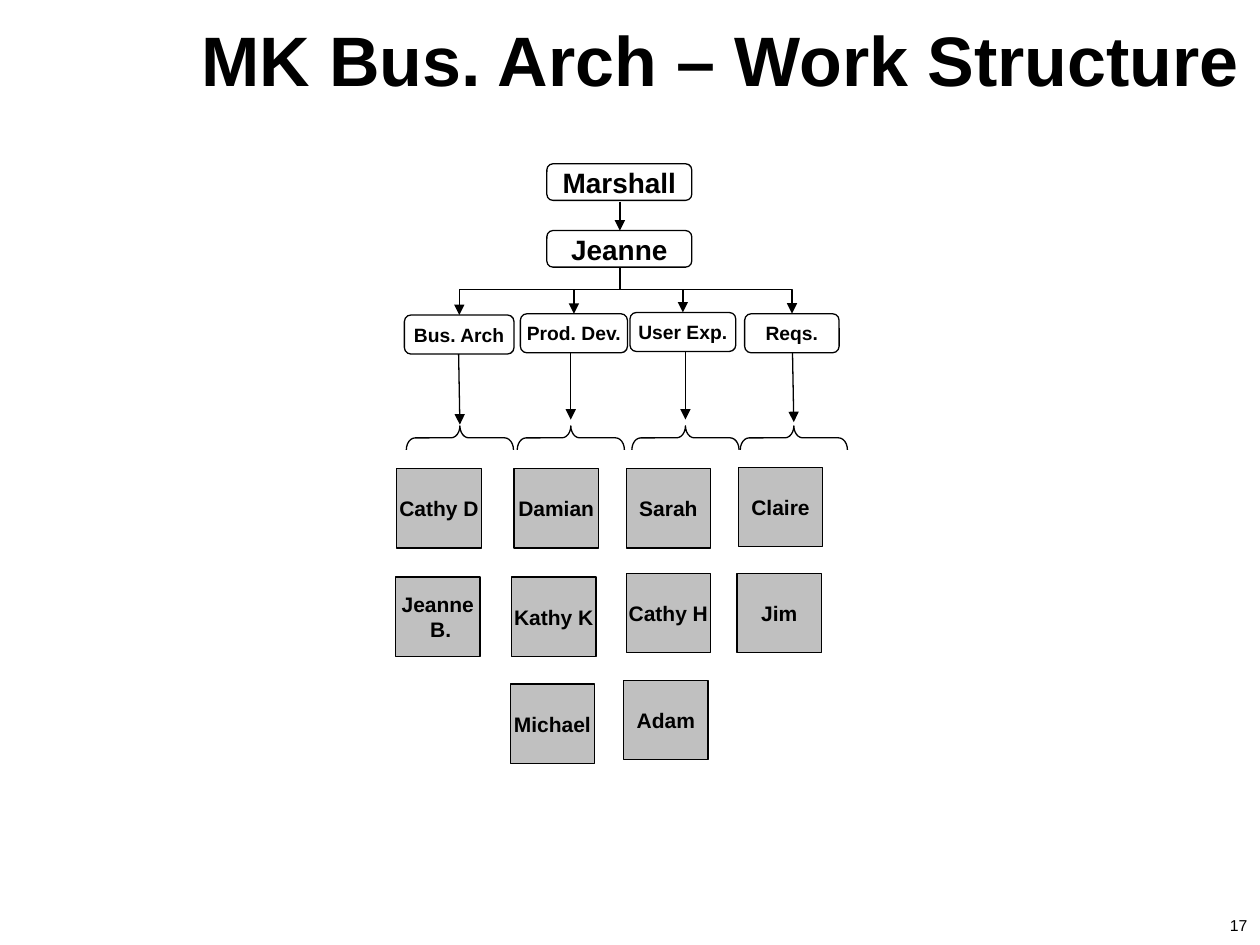
"""Build the MK business architecture work structure slide."""
from dataclasses import dataclass

from lxml import etree
from pptx import Presentation
from pptx.dml.color import RGBColor
from pptx.enum.shapes import MSO_CONNECTOR, MSO_SHAPE
from pptx.enum.text import MSO_ANCHOR, PP_ALIGN
from pptx.oxml import parse_xml
from pptx.oxml.ns import nsdecls, qn
from pptx.util import Inches, Pt

STRAIGHT, ELBOW = MSO_CONNECTOR.STRAIGHT, MSO_CONNECTOR.ELBOW
ROUNDED = MSO_SHAPE.FLOWCHART_ALTERNATE_PROCESS
SQUARE, BRACE = MSO_SHAPE.RECTANGLE, MSO_SHAPE.LEFT_BRACE
MIDDLE, BOTTOM, CENTER = MSO_ANCHOR.MIDDLE, MSO_ANCHOR.BOTTOM, PP_ALIGN.CENTER


@dataclass(frozen=True)
class Theme:
    font: str = "Arial"
    ink: RGBColor = RGBColor(0, 0, 0)
    paper: RGBColor = RGBColor(255, 255, 255)
    member: RGBColor = RGBColor(0xC0, 0xC0, 0xC0)
    line: Pt = Pt(0.75)
    title_size: Pt = Pt(40)
    leader_size: Pt = Pt(16)
    branch_size: Pt = Pt(11)
    member_size: Pt = Pt(12)
    number_size: Pt = Pt(9)


theme = Theme()
presentation = Presentation()
presentation.slide_width, presentation.slide_height = Inches(10), Inches(7.5)
slide = presentation.slides.add_slide(presentation.slide_layouts[6])


def add_box(kind, left, top, width, height, text, size, fill=None, bold=True):
    area = [Inches(value) for value in (left, top, width, height)]
    if kind is None:
        shape = slide.shapes.add_textbox(*area)
    else:
        shape = slide.shapes.add_shape(kind, *area)
        shape.shadow.inherit = False
        shape.fill.solid()
        shape.fill.fore_color.rgb = fill
        shape.line.color.rgb = theme.ink
        shape.line.width = theme.line
        shape.text_frame.vertical_anchor = MIDDLE
    shape.text_frame.word_wrap = False
    shape.text_frame.text = text
    for paragraph in shape.text_frame.paragraphs:
        paragraph.alignment = CENTER
        paragraph.font.name = theme.font
        paragraph.font.size = size
        paragraph.font.bold = bold
        paragraph.font.color.rgb = theme.ink
    return shape


def add_arrow(start_x, start_y, end_x, end_y, bend_y=None):
    points = start_x, start_y, end_x, end_y
    if bend_y is not None:
        middle_x, middle_y = (start_x + end_x) / 2, (start_y + end_y) / 2
        side = 1 if end_x > start_x else -1
        half_width = side * (end_y - start_y) / 2
        half_height = abs(end_x - start_x) / 2
        points = (middle_x + half_width, middle_y - half_height,
                  middle_x - half_width, middle_y + half_height)
    connector = slide.shapes.add_connector(
        STRAIGHT if bend_y is None else ELBOW, *[Inches(value) for value in points])
    connector.line.color.rgb = theme.ink
    connector.line.width = theme.line
    properties = connector._element.spPr
    if bend_y is not None:
        properties.find(qn("a:xfrm")).set("rot", "16200000" if side > 0 else "5400000")
        bend = round(100000 * (bend_y - start_y) / (end_y - start_y))
        etree.SubElement(properties.find(".//" + qn("a:avLst")), qn("a:gd"),
                         name="adj1", fmla=f"val {bend}")
    etree.SubElement(properties.find(qn("a:ln")), qn("a:tailEnd"), type="triangle")
    etree.SubElement(properties, qn("a:effectLst"))


title = add_box(None, 1.43, 0.08, 8.57, 0.77, "MK Bus. Arch – Work Structure", theme.title_size)
title_run = title.text_frame.paragraphs[0].runs[0]
title_run._r.get_or_add_rPr().append(parse_xml(
    f'<a:effectLst {nsdecls("a")}><a:outerShdw dist="38100" dir="2700000">'
    '<a:srgbClr val="808080"/></a:outerShdw></a:effectLst>'))

leader_left, leader_width, leader_height = 4.34, 1.15, 0.29
leader_center, bus_y = 4.92, 2.3
for name, top in (("Marshall", 1.3), ("Jeanne", 1.83)):
    add_box(ROUNDED, leader_left, top, leader_width, leader_height,
            name, theme.leader_size, theme.paper)
add_arrow(leader_center, 1.6, leader_center, 1.83)

branch_height, member_width, member_height = 0.31, 0.67, 0.63
brace_width, brace_height = 0.19, 0.85
branches = [
    ("Bus. Arch", 3.21, 2.5, 0.87, 3.64, 3.37, 3.65,
     [("Cathy D", 3.15, 3.72), ("Jeanne\n B.", 3.14, 4.58)]),
    ("Prod. Dev.", 4.13, 2.49, 0.85, 4.53, 3.33, 4.53,
     [("Damian", 4.08, 3.72), ("Kathy K", 4.06, 4.58), ("Michael", 4.05, 5.43)]),
    ("User Exp.", 5, 2.48, 0.84, 5.44, 3.33, 5.44,
     [("Sarah", 4.97, 3.72), ("Cathy H", 4.97, 4.55), ("Adam", 4.95, 5.4)]),
    ("Reqs.", 5.91, 2.49, 0.75, 6.29, 3.35, 6.3,
     [("Claire", 5.86, 3.71), ("Jim", 5.85, 4.55)]),
]
for label, left, top, width, arrow_x, arrow_end, brace_tip, members in branches:
    add_box(ROUNDED, left, top, width, branch_height, label, theme.branch_size, theme.paper)
    add_arrow(leader_center, 2.12, left + width / 2, top, bus_y)
    add_arrow(arrow_x, top + branch_height, brace_tip, arrow_end)
    brace = slide.shapes.add_shape(BRACE, Inches(brace_tip - brace_width / 2), Inches(3.05),
                                   Inches(brace_width), Inches(brace_height))
    brace.rotation = 90
    brace.adjustments[0] = 0.37
    brace.shadow.inherit = False
    brace.fill.background()
    brace.line.color.rgb = theme.ink
    brace.line.width = theme.line
    for name, member_left, member_top in members:
        add_box(SQUARE, member_left, member_top, member_width, member_height,
                name, theme.member_size, theme.member)

number = add_box(None, 9.62, 6.99, 0.42, 0.51, "17", theme.number_size, bold=False)
number.text_frame.vertical_anchor = BOTTOM
number.text_frame.margin_bottom = Inches(0.08)

presentation.save("out.pptx")
